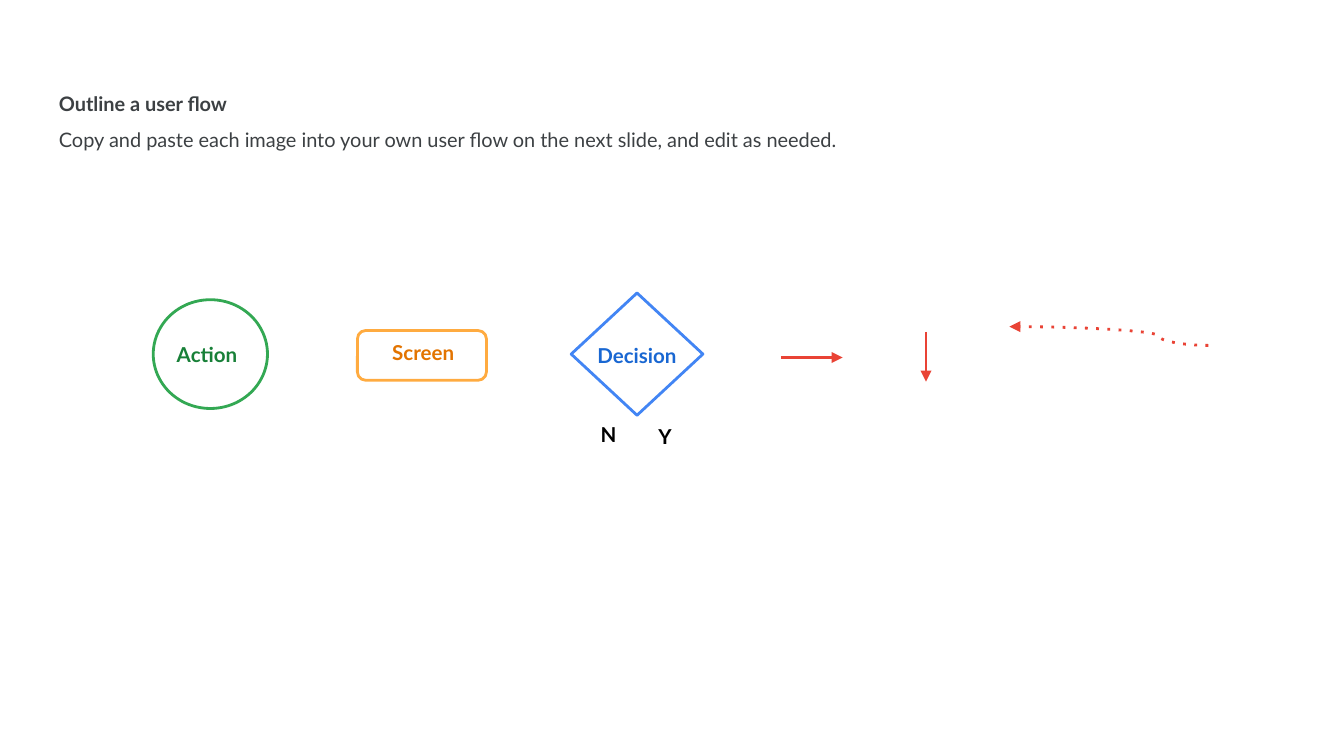
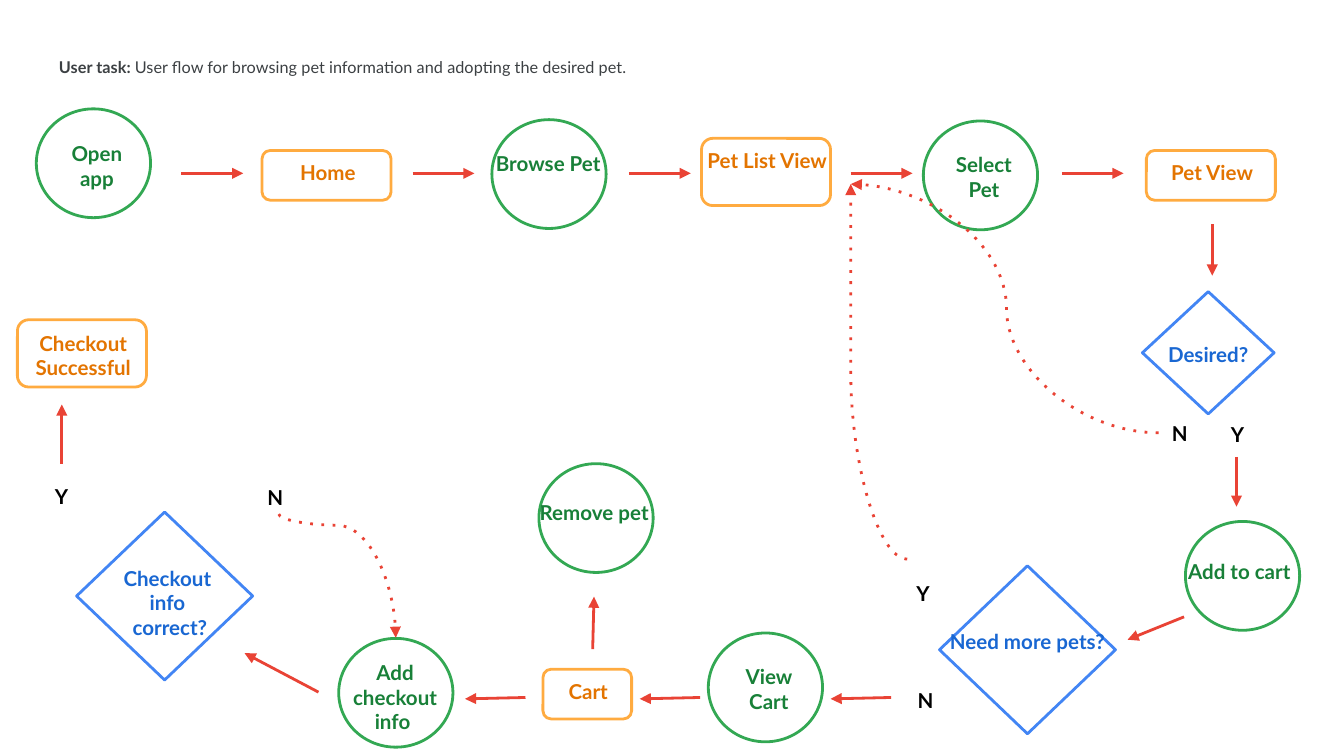
from lxml.etree import SubElement
from pptx import Presentation
from pptx.dml.color import RGBColor
from pptx.enum.shapes import MSO_CONNECTOR as CONN, MSO_SHAPE as SHAPE
from pptx.enum.text import MSO_ANCHOR, PP_ALIGN as ALIGN
from pptx.oxml.ns import qn
from pptx.util import Emu, Inches, Pt

PX = 9144  # 100 px to the inch
FONT = "Lato"
COLORS = {
    "title": "3C4043",
    "label": "000000",
    "arrow": "E94335",
    "action": "33A853",
    "action_text": "188038",
    "screen": "FFAB40",
    "screen_text": "E37400",
    "decision": "4285F4",
    "decision_text": "1967D2",
}


def px(*lengths):
    return [Emu(round(n * PX)) for n in lengths]


def rgb(name):
    return RGBColor.from_string(COLORS[name])


class FlowDeck:
    """Holds the flow style and the slide being drawn."""

    def __init__(self):
        self.prs = Presentation()
        self.prs.slide_width = Inches(10)
        self.prs.slide_height = Inches(10 * 9 / 16)
        self.s = None

    def new_slide(self):
        self.s = self.prs.slides.add_slide(self.prs.slide_layouts[6])

    def text(self, shapes, box, paragraphs, color, size=11, align=ALIGN.LEFT, spacing=None):
        """Each paragraph is a list of (text, bold) runs."""
        tf = shapes.add_textbox(*px(*box)).text_frame
        tf.word_wrap = True
        tf.vertical_anchor = MSO_ANCHOR.TOP
        tf.margin_left = tf.margin_top = tf.margin_right = tf.margin_bottom = px(10)[0]
        for i, runs in enumerate(paragraphs):
            p = tf.add_paragraph() if i else tf.paragraphs[0]
            p.alignment = align
            if spacing:
                p.line_spacing = spacing
            for words, bold in runs:
                r = p.add_run()
                r.text = words
                r.font.name, r.font.size, r.font.bold = FONT, Pt(size), bold
                r.font.color.rgb = rgb(color)

    def title(self, y, h, paragraphs, size, spacing=None):
        self.text(self.s.shapes, (34, y, 932, h), paragraphs, "title", size, spacing=spacing)

    def node(self, kind, preset, box, caption_box, lines):
        """Outline and caption in one group; returns the group's shapes."""
        shapes = self.s.shapes.add_group_shape().shapes
        sp = shapes.add_shape(preset, *px(*box))
        sp.shadow.inherit = False
        sp.fill.background()
        sp.line.color.rgb = rgb(kind)
        sp.line.width = Pt(1.5)
        self.text(shapes, caption_box, [[(line, True)] for line in lines],
                  kind + "_text", align=ALIGN.CENTER)
        return shapes

    def action(self, x, y, dx, dy, *lines):
        self.node("action", SHAPE.OVAL, (x, y, 85, 81), (x + dx, y + dy, 110, 39), lines)

    def screen(self, x, y, w, h, *lines):
        caption = (x - 0.14 * w, y - 2, 1.3 * w, 1.5 * h)
        self.node("screen", SHAPE.ROUNDED_RECTANGLE, (x, y, w, h), caption, lines)

    def decision(self, x, y, dx, dy, yes, no, *lines, large=False):
        """dx, dy, yes and no are offsets from the diamond's top left."""
        w, h, caption_w, caption_h = (131, 125, 147, 59) if large else (98, 91, 110, 44)
        label_w, yes_h, no_h = (41, 32, 55) if large else (31, 24, 40)
        shapes = self.node("decision", SHAPE.DIAMOND, (x, y, w, h),
                           (x + dx, y + dy, caption_w, caption_h), lines)
        for letter, (lx, ly), label_h in (("Y", yes, yes_h), ("N", no, no_h)):
            self.text(shapes, (x + lx, y + ly, label_w, label_h), [[(letter, True)]], "label")

    def connector(self, kind, ends, dash=None):
        cxn = self.s.shapes.add_connector(kind, *px(*ends))
        cxn.line.color.rgb = rgb("arrow")
        cxn.line.width = Pt(1.5)
        ln = cxn.line._get_or_add_ln()
        if dash:
            SubElement(ln, qn("a:prstDash"), val=dash)
        SubElement(ln, qn("a:tailEnd"), type="triangle")
        spPr = cxn.element.spPr
        SubElement(spPr, qn("a:effectLst"))
        return spPr

    def arrow(self, *ends):
        self.connector(CONN.STRAIGHT, ends)

    def dotted_curve(self, *ends, bend, turn=180):
        """ends are given before the turn (degrees); bend is a percentage."""
        spPr = self.connector(CONN.CURVE, ends, "dot")
        spPr.find(qn("a:xfrm")).set("rot", str(turn * 60000))
        guides = spPr.find(qn("a:prstGeom")).find(qn("a:avLst"))
        SubElement(guides, qn("a:gd"), name="adj1", fmla=f"val {round(bend * 1000)}")


def symbols_slide(deck):
    deck.new_slide()
    deck.title(49, 72, [
        [("Outline a user flow", True)],
        [("Copy and paste each image into your own user flow on the next slide, "
          "and edit as needed.", False)],
    ], 10.7, spacing=1.5)
    deck.action(114, 223, -13, 22, "Action ")
    deck.screen(266, 246, 96, 37, "Screen")
    deck.decision(425, 218, -6, 28, (55, 88), (12, 87), "Decision")
    deck.arrow(581, 266, 627, 266)
    deck.arrow(689, 247, 689, 284)
    deck.dotted_curve(751, 243, 899, 257, bend=25)


def pet_flow_slide(deck):
    deck.new_slide()
    deck.title(35, 34, [[
        ("User task: ", True),
        ("User flow for browsing pet information and adopting the desired pet.", False),
    ]], 8.7)

    for action in (
        (27, 81, -8, 14, "Open ", "app "),
        (366, 89, -13, 14, "Browse Pet"),
        (687, 90, -8, 13, "Select ", "Pet "),
        (882, 388, -13, 19, "Add to cart "),
        (527, 471, -8, 13, "View ", "Cart "),
        (252, 475, -13, 6, "Add checkout info "),
        (401, 345, -12, 18, "Remove pet "),
    ):
        deck.action(*action)

    for screen in (
        (195, 112, 96, 37, "Home"),
        (522, 103, 96, 50, "Pet List View"),
        (853, 112, 96, 37, "Pet View"),
        (404, 498, 66, 37, "Cart"),
        (13, 238, 96, 50, "Checkout Successful"),
    ):
        deck.screen(*screen)

    deck.decision(850, 217, -6, 28, (56, 88), (12, 87), "Desired?")
    deck.decision(699, 421, -8, 38, (-27, 2), (-26, 82), "Need more pets?", large=True)
    deck.decision(57, 381, -4, 30, (-26, -30), (132, -29),
                  "Checkout ", "info ", "correct?", large=True)

    for x in (135, 307, 468, 633, 790):
        deck.arrow(x, 129, x + 46, 129)
    for x in (663, 521, 391):
        deck.arrow(x, 519, x - 45, 520)
    for ends in (
        (902, 167, 902, 205),
        (920, 340, 920, 377),
        (881, 459, 839, 476),
        (441, 483, 442, 444),
        (237, 515, 182, 486),
        (46, 345, 46, 301),
    ):
        deck.arrow(*ends)

    deck.dotted_curve(633, 137, 862, 322, bend=49.4)
    deck.dotted_curve(633, 137, 675, 416, bend=100)
    deck.dotted_curve(297, 385, 205, 472, bend=9, turn=270)


def main():
    deck = FlowDeck()
    symbols_slide(deck)
    pet_flow_slide(deck)
    deck.prs.save("out.pptx")


if __name__ == "__main__":
    main()
